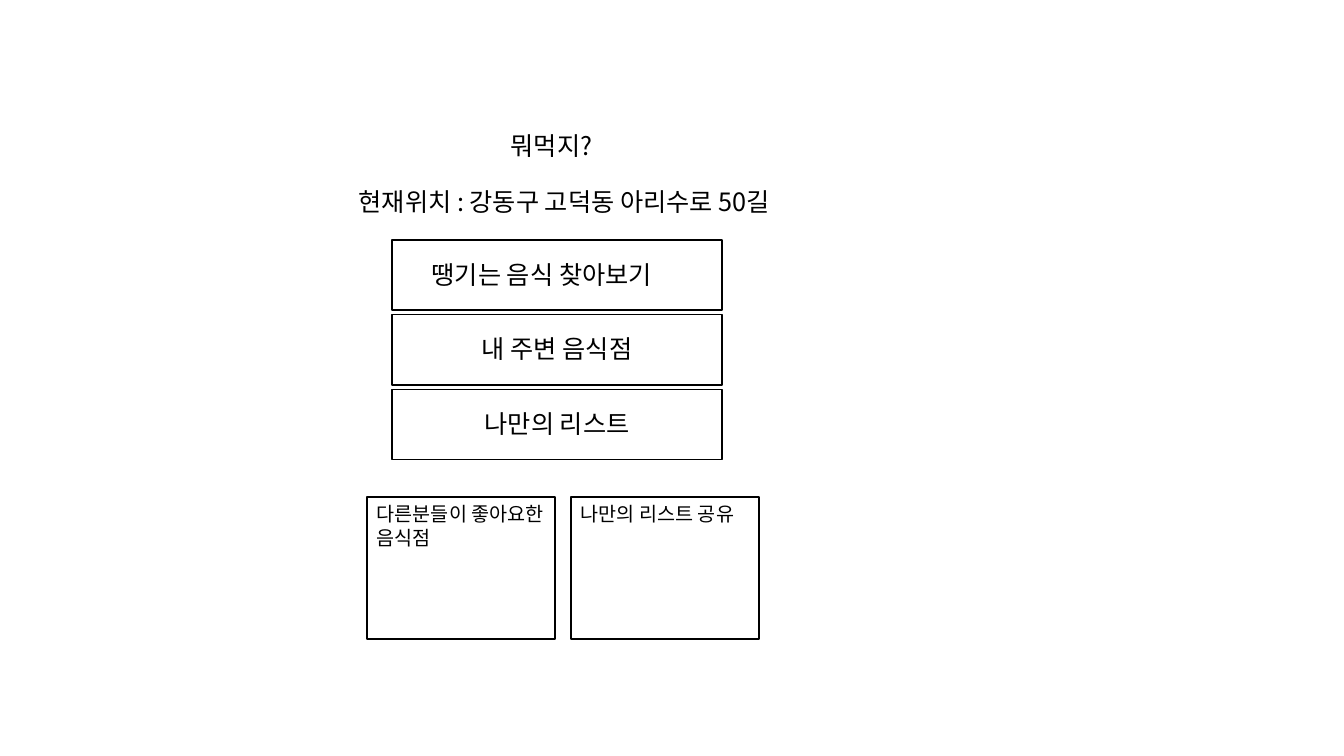
from pptx import Presentation
from pptx.dml.color import RGBColor
from pptx.enum.shapes import MSO_SHAPE
from pptx.enum.text import MSO_ANCHOR, MSO_AUTO_SIZE, PP_ALIGN
from pptx.oxml.ns import qn
from pptx.util import Inches, Pt
from lxml.etree import SubElement

BLACK = RGBColor(0, 0, 0)
WHITE = RGBColor(255, 255, 255)
FONT = "Noto Sans CJK KR"

deck = Presentation()
deck.slide_width = Inches(13.33)
deck.slide_height = Inches(7.5)
# The slide grid has 100 columns and 100 rows.
COL = deck.slide_width / 100
ROW = deck.slide_height / 100


def part(box, x, y, wide, high):
    """Return the box that takes the given shares of another box."""
    left, top, width, height = box
    return left + x * width, top + y * height, wide * width, high * height


def place(box):
    """Turn a box in columns and rows into slide lengths."""
    left, top, width, height = box
    return int(left * COL), int(top * ROW), int(width * COL), int(height * ROW)


def write(shape, text, size, align=PP_ALIGN.LEFT, wrap=True):
    """Fill a shape with one styled paragraph."""
    frame = shape.text_frame
    frame.text = text
    frame.word_wrap = wrap
    frame.auto_size = MSO_AUTO_SIZE.SHAPE_TO_FIT_TEXT
    frame.vertical_anchor = MSO_ANCHOR.TOP
    line = frame.paragraphs[0]
    line.alignment = align
    line.font.size = Pt(size)
    line.font.color.rgb = BLACK
    line.font.name = FONT
    style = line._p.pPr.find(qn("a:defRPr"))
    SubElement(style, qn("a:ea")).set("typeface", FONT)


def label(slide, box, text, size=18, align=PP_ALIGN.LEFT, wrap=True):
    """Add a text box."""
    write(slide.shapes.add_textbox(*place(box)), text, size, align, wrap)


def frame(slide, box):
    """Add a white rectangle with a thin black outline."""
    shape = slide.shapes.add_shape(MSO_SHAPE.RECTANGLE, *place(box))
    shape.shadow.inherit = False
    shape.fill.solid()
    shape.fill.fore_color.rgb = WHITE
    shape.line.color.rgb = BLACK
    shape.line.width = Pt(1)


def header(slide, box):
    """Place the title and the current address."""
    title = slide.shapes.title
    title.left, title.top, title.width, title.height = place(
        part(box, 0.31, 0, 0.43, 0.42))
    write(title, "뭐먹지?", 18)
    label(slide, part(box, 0, 0.58, 1, 0.42),
          "현재위치 : 강동구 고덕동 아리수로 50길", wrap=False)


def menu(slide, box):
    """Stack the three menu buttons."""
    items = [
        ("땡기는 음식 찾아보기", 0.09, 0.81, PP_ALIGN.LEFT),
        ("내 주변 음식점", 0.04, 0.92, PP_ALIGN.CENTER),
        ("나만의 리스트", 0.04, 0.92, PP_ALIGN.CENTER),
    ]
    for i, (text, x, wide, align) in enumerate(items):
        button = part(box, 0, 0.34 * i, 1, 0.32)
        frame(slide, button)
        label(slide, part(button, x, 0.2, wide, 0.57), text, align=align)


def cards(slide, box):
    """Set the two sharing cards side by side."""
    items = [("다른분들이 좋아요한 음식점", 0.4), ("나만의 리스트 공유", 0.24)]
    for i, (text, high) in enumerate(items):
        card = part(box, 0.52 * i, 0, 0.48, 1)
        frame(slide, card)
        label(slide, part(card, 0, 0, 1, high), text, 14)


def home(slide):
    """Lay out the home screen."""
    header(slide, (25.95, 16.53, 36.45, 12.8))
    menu(slide, (29.18, 31.73, 24.53, 29.07))
    cards(slide, (27.3, 65.73, 29.18, 18.8))


home(deck.slides.add_slide(deck.slide_layouts.get_by_name("Title Only")))
deck.save("out.pptx")
